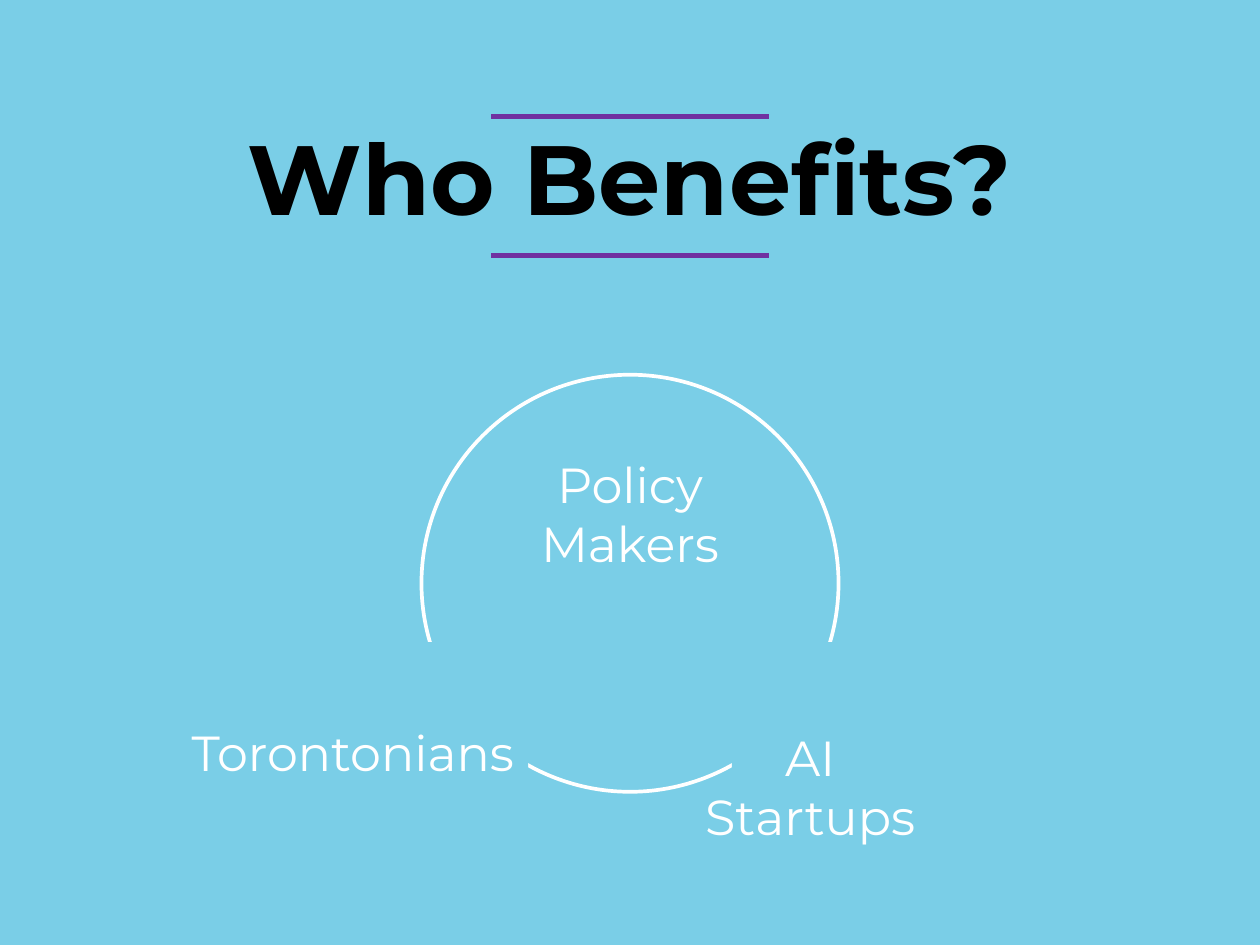
from pptx import Presentation
from pptx.dml.color import RGBColor
from pptx.enum.shapes import MSO_CONNECTOR, MSO_SHAPE
from pptx.enum.text import MSO_ANCHOR, PP_ALIGN
from pptx.oxml.ns import qn
from pptx.util import Inches, Pt

STRAIGHT = MSO_CONNECTOR.STRAIGHT
OVAL = MSO_SHAPE.OVAL
RECTANGLE = MSO_SHAPE.RECTANGLE
BOTTOM = MSO_ANCHOR.BOTTOM
CENTER = PP_ALIGN.CENTER

COLORS = {"sky": "7ACEE7", "purple": "7030A0", "white": "FFFFFF", "black": "000000"}
FONT = "Montserrat"
COLUMNS, ROWS = 100, 75
MIDDLE = COLUMNS / 2


class BenefitsSlide:
    """Draws styled elements centred on a column of a 100 by 75 grid."""

    def __init__(self, deck):
        self.slide = deck.slides.add_slide(deck.slide_layouts[6])
        self.column = deck.slide_width / COLUMNS
        self.row = deck.slide_height / ROWS

    def color(self, name):
        return RGBColor.from_string(COLORS[name])

    def frame(self, center, top, width, height):
        return (round((center - width / 2) * self.column), round(top * self.row),
                round(width * self.column), round(height * self.row))

    def backdrop(self, color):
        fill = self.slide.background.fill
        fill.solid()
        fill.fore_color.rgb = self.color(color)

    def rule(self, center, top, width, color, weight):
        left, y, length, _ = self.frame(center, top, width, 0)
        rule = self.slide.shapes.add_connector(STRAIGHT, left, y, left + length, y)
        rule.line.color.rgb = self.color(color)
        rule.line.width = Pt(weight)
        properties = rule._element.spPr
        properties.append(properties.makeelement(qn("a:effectLst"), {}))

    def ring(self, center, top, size, color, weight):
        ring = self.slide.shapes.add_shape(OVAL, *self.frame(center, top, size, size))
        ring.shadow.inherit = False
        ring.fill.background()
        ring.line.color.rgb = self.color(color)
        ring.line.width = Pt(weight)

    def mask(self, center, top, size, color):
        mask = self.slide.shapes.add_shape(RECTANGLE, *self.frame(center, top, size, size))
        mask.shadow.inherit = False
        mask.fill.solid()
        mask.fill.fore_color.rgb = self.color(color)
        mask.line.fill.background()

    def text(self, words, center, top, width, height, size, color, bold=False):
        box = self.slide.shapes.add_textbox(*self.frame(center, top, width, height))
        body = box.text_frame
        body.word_wrap = True
        body.vertical_anchor = BOTTOM
        body.margin_left = body.margin_right = Inches(0.06)
        body.margin_top = body.margin_bottom = Inches(0.06)
        paragraph = body.paragraphs[0]
        paragraph.alignment = CENTER
        run = paragraph.add_run()
        run.text = words
        run.font.name = FONT
        run.font.size = Pt(size)
        run.font.bold = bold
        run.font.color.rgb = self.color(color)


def main():
    deck = Presentation()
    deck.slide_width, deck.slide_height = Inches(14.22), Inches(10.67)
    benefits = BenefitsSlide(deck)

    benefits.backdrop("sky")
    benefits.text("Who Benefits?", MIDDLE, 2.9, 80.4, 16.2, 80, "black", bold=True)
    for rule_top in (9.28, 20.25):
        benefits.rule(MIDDLE, rule_top, 22, "purple", 4)

    benefits.ring(MIDDLE, 29.74, 33.1, "white", 3)
    for offset, mask_top in ((0, 32.5), (16.2, 50.97), (-16.2, 50.97)):
        benefits.mask(MIDDLE + offset, mask_top, 16.24, "sky")

    audiences = (
        ("Policy Makers", MIDDLE, 30.8, 25.5, 15.05),
        ("AI Startups", 64.3, 56.68, 19.5, 10.83),
        ("Torontonians", 28, 51.48, 29.4, 10.97),
    )
    for audience, center, top, width, height in audiences:
        benefits.text(audience, center, top, width, height, 40, "white")

    deck.save("out.pptx")


if __name__ == "__main__":
    main()
